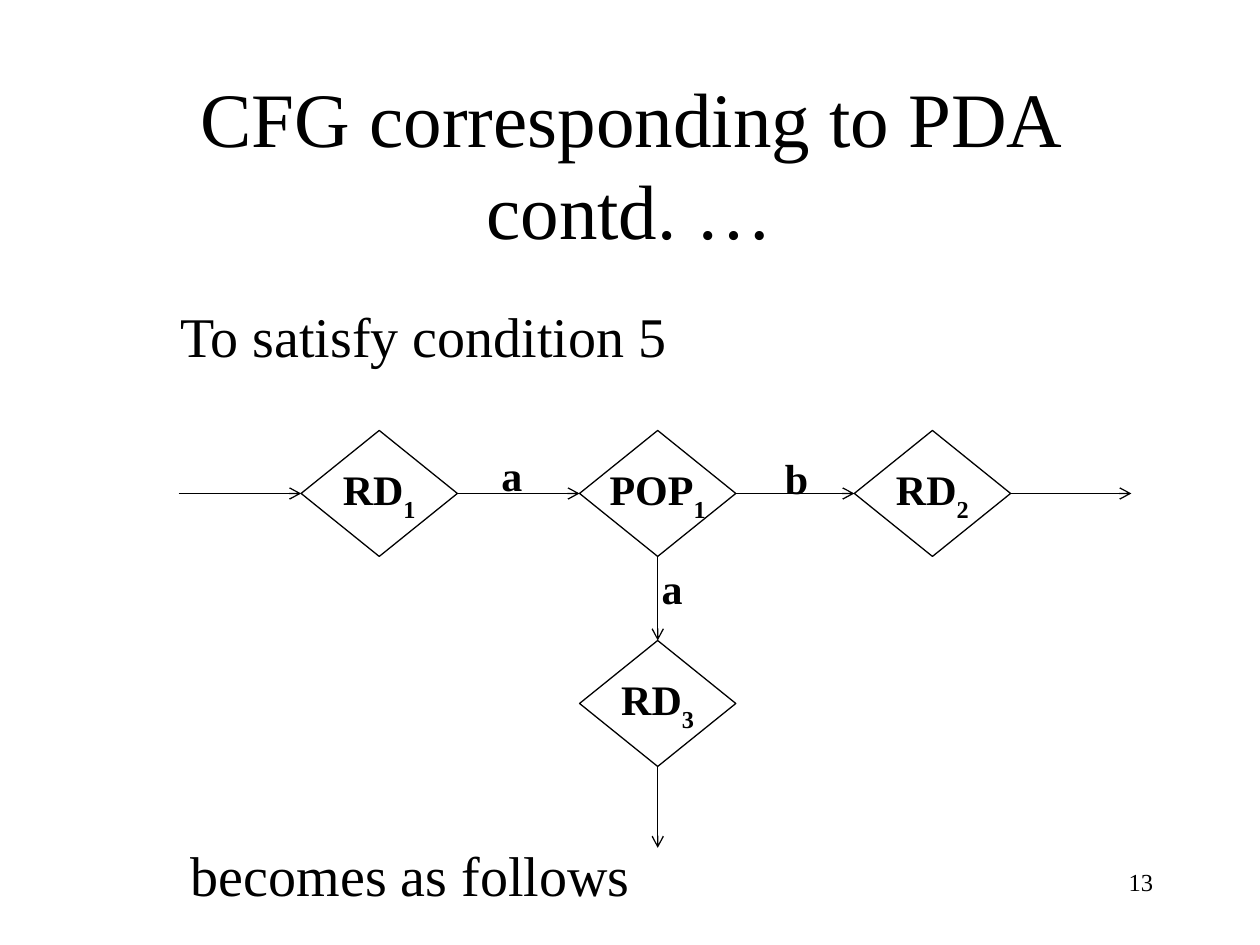
from dataclasses import dataclass
from typing import Optional

from lxml.etree import SubElement
from pptx import Presentation
from pptx.dml.color import RGBColor
from pptx.enum.shapes import MSO_CONNECTOR, MSO_SHAPE
from pptx.enum.text import MSO_ANCHOR, PP_ALIGN
from pptx.oxml.ns import qn
from pptx.util import Pt

BLACK = RGBColor(0x00, 0x00, 0x00)
FONT = "Times New Roman"
LINE_WIDTH = 0.75
STATE_WIDTH, STATE_HEIGHT = 89.3, 72
TOP, LEFT, BOTTOM, RIGHT = 0, 1, 2, 3


@dataclass
class State:
    name: str
    index: str
    left: float
    top: float

    @property
    def sides(self) -> list[tuple[float, float]]:
        middle_x = self.left + STATE_WIDTH / 2
        middle_y = self.top + STATE_HEIGHT / 2
        return [(middle_x, self.top), (self.left, middle_y),
                (middle_x, self.top + STATE_HEIGHT),
                (self.left + STATE_WIDTH, middle_y)]


@dataclass
class Arrow:
    """An arrow between two sides; without a state, one end is free."""
    source: Optional[State]
    source_side: int
    target: Optional[State]
    target_side: int
    free_length: float = 0


@dataclass
class Text:
    words: str
    left: float
    top: float
    width: float
    height: float
    size: float
    bold: bool = False
    align: PP_ALIGN = PP_ALIGN.LEFT
    anchor: MSO_ANCHOR = MSO_ANCHOR.TOP


READ_1 = State("RD", "1", 172.1, 246)
POP_1 = State("POP", "1", 331.2, 246)
READ_2 = State("RD", "2", 488.2, 246)
READ_3 = State("RD", "3", 331.2, 366)
STATES = [READ_1, POP_1, READ_2, READ_3]

ARROWS = [
    Arrow(None, RIGHT, READ_1, LEFT, 70),
    Arrow(READ_1, RIGHT, POP_1, LEFT),
    Arrow(POP_1, RIGHT, READ_2, LEFT),
    Arrow(READ_2, RIGHT, None, LEFT, 69),
    Arrow(POP_1, BOTTOM, READ_3, TOP),
    Arrow(READ_3, BOTTOM, None, TOP, 46.5),
]

TEXTS = [
    Text("CFG corresponding to PDA contd. …", 54, 48, 612, 90, 44,
         align=PP_ALIGN.CENTER, anchor=MSO_ANCHOR.MIDDLE),
    Text("To satisfy condition 5", 96, 169, 378, 46, 32),
    Text("becomes as follows", 102, 476.5, 378, 46, 32),
    Text("a", 279.5, 253.5, 36, 36, 24, bold=True),
    Text("b", 441.5, 255, 36, 36, 24, bold=True),
    Text("a", 371, 318, 36, 36, 24, bold=True),
    Text("13", 516, 492, 150, 36, 14, align=PP_ALIGN.RIGHT),
]


def set_font(font, size: float, bold: bool) -> None:
    font.name = FONT
    font.size = Pt(size)
    font.bold = bold
    font.color.rgb = BLACK


def draw_text(page, text: Text) -> None:
    box = page.shapes.add_textbox(Pt(text.left), Pt(text.top),
                                  Pt(text.width), Pt(text.height))
    frame = box.text_frame
    frame.word_wrap = True
    frame.vertical_anchor = text.anchor
    para = frame.paragraphs[0]
    para.text = text.words
    para.alignment = text.align
    set_font(para.font, text.size, text.bold)


def draw_state(page, state: State):
    diamond = page.shapes.add_shape(
        MSO_SHAPE.FLOWCHART_DECISION, Pt(state.left), Pt(state.top),
        Pt(STATE_WIDTH), Pt(STATE_HEIGHT))
    diamond.shadow.inherit = False
    diamond.fill.background()
    diamond.line.color.rgb = BLACK
    diamond.line.width = Pt(LINE_WIDTH)
    frame = diamond.text_frame
    frame.word_wrap = False
    frame.vertical_anchor = MSO_ANCHOR.MIDDLE
    para = frame.paragraphs[0]
    para.alignment = PP_ALIGN.CENTER
    set_font(para.font, 24, True)
    para.add_run().text = state.name
    subscript = para.add_run()
    subscript.text = state.index
    subscript.font._element.set("baseline", "-30000")
    return diamond


def draw_arrow(page, arrow: Arrow, diamonds: dict) -> None:
    # A free end lies straight out from the joined end
    if arrow.source:
        start = arrow.source.sides[arrow.source_side]
    else:
        x, y = arrow.target.sides[arrow.target_side]
        start = (x - arrow.free_length, y)
    if arrow.target:
        end = arrow.target.sides[arrow.target_side]
    elif arrow.source_side == BOTTOM:
        end = (start[0], start[1] + arrow.free_length)
    else:
        end = (start[0] + arrow.free_length, start[1])

    connector = page.shapes.add_connector(
        MSO_CONNECTOR.STRAIGHT, *(Pt(value) for value in start + end))
    if arrow.source:
        connector.begin_connect(diamonds[arrow.source.name + arrow.source.index],
                                arrow.source_side)
    if arrow.target:
        connector.end_connect(diamonds[arrow.target.name + arrow.target.index],
                              arrow.target_side)
    connector.line.color.rgb = BLACK
    connector.line.width = Pt(LINE_WIDTH)
    SubElement(connector.line._get_or_add_ln(), qn("a:tailEnd"),
               type="arrow", w="med", len="med")
    SubElement(connector._element.spPr, qn("a:effectLst"))


def main() -> None:
    deck = Presentation()
    deck.slide_width, deck.slide_height = Pt(720), Pt(540)
    page = deck.slides.add_slide(deck.slide_layouts[6])

    # Automaton
    diamonds = {state.name + state.index: draw_state(page, state)
                for state in STATES}
    for arrow in ARROWS:
        draw_arrow(page, arrow, diamonds)

    # Title, sentences, arrow labels and page number
    for text in TEXTS:
        draw_text(page, text)

    deck.save("out.pptx")


if __name__ == "__main__":
    main()
